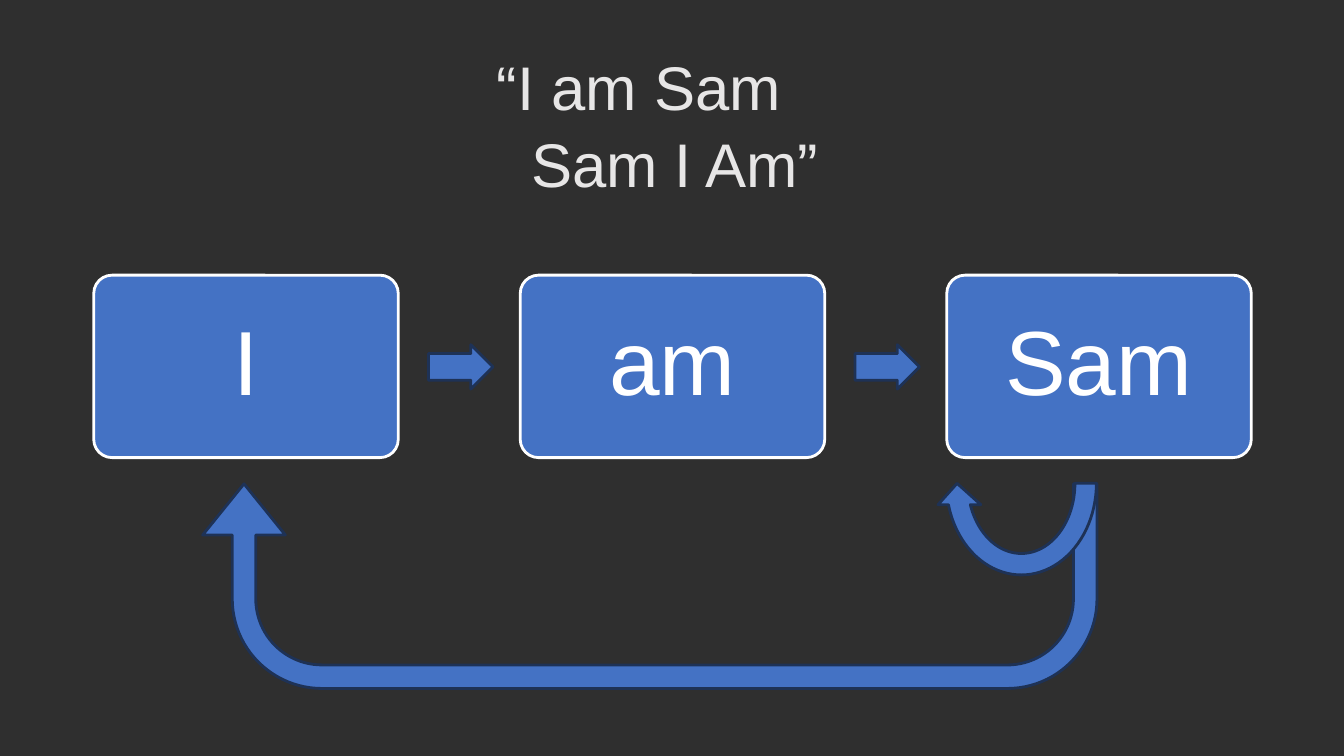
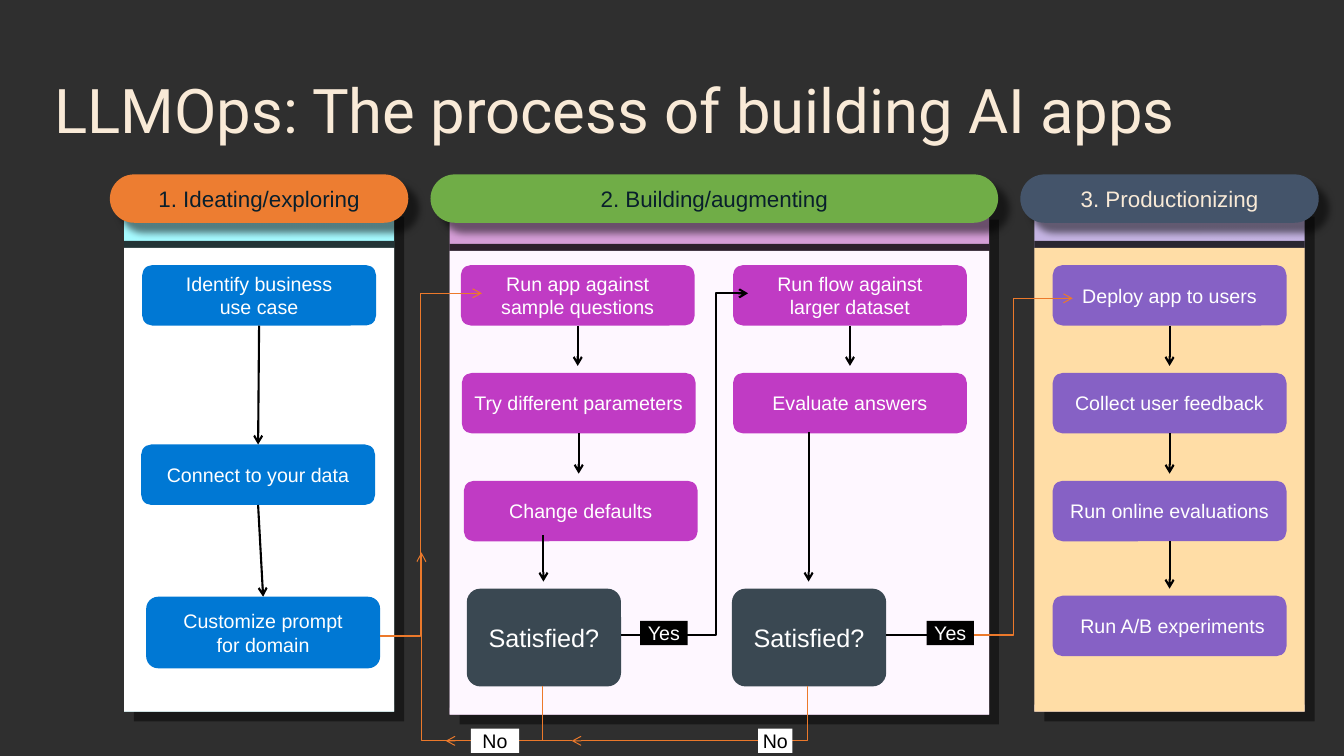
from dataclasses import dataclass

from lxml.etree import SubElement
from pptx import Presentation
from pptx.dml.color import RGBColor
from pptx.enum.shapes import MSO_CONNECTOR, MSO_SHAPE
from pptx.enum.text import MSO_ANCHOR, PP_ALIGN
from pptx.oxml.ns import qn
from pptx.util import Inches, Pt


@dataclass(frozen=True)
class Theme:
    bg: str = "2F2F2F"
    white: str = "FFFFFF"
    black: str = "000000"
    cream: str = "F9EAD7"
    quote: str = "E7E6E6"
    token: str = "4472C4"
    token_edge: str = "1E3256"
    ink: str = "091F2C"
    decision: str = "3A4852"
    loop: str = "EC792B"
    explore: str = "0078D4"
    build: str = "C03BC4"
    produce: str = "8661C5"
    body_font: str = "Arial"
    title_font: str = "Roboto"
    title_size: int = 44
    token_size: int = 65
    pill_size: int = 16
    card_size: int = 14
    decision_size: int = 18


T = Theme()


def rgb(value):
    return RGBColor.from_string(value)


def assign(obj, values):
    for name, value in values.items():
        setattr(obj, name, value)


def put_text(sp, lines, size, color, font=T.body_font, align=PP_ALIGN.CENTER,
             anchor=MSO_ANCHOR.MIDDLE, insets=(0, 0, 0, 0), spacing=1.0):
    tf = sp.text_frame
    left, top, right, bottom = (Inches(v) for v in insets)
    assign(tf, {"word_wrap": True, "vertical_anchor": anchor,
                "margin_left": left, "margin_top": top,
                "margin_right": right, "margin_bottom": bottom})
    for i, line in enumerate(lines):
        p = tf.add_paragraph() if i else tf.paragraphs[0]
        p.text = line
        assign(p, {"alignment": align, "line_spacing": spacing})
        for r in p.runs:
            assign(r.font, {"name": font, "size": Pt(size)})
            r.font.color.rgb = rgb(color)
    return tf


def add_box(slide, kind, box, fill, edge=None, adj=(), rotation=0):
    sp = slide.shapes.add_shape(kind, *(Inches(v) for v in box))
    sp.fill.solid()
    sp.fill.fore_color.rgb = rgb(fill)
    if edge:
        sp.line.color.rgb = rgb(edge)
        sp.line.width = Pt(2)
    else:
        sp.line.fill.background()
    sp.shadow.inherit = False
    sp.rotation = rotation
    for i, value in enumerate(adj):
        sp.adjustments[i] = value
    return sp


def add_label(slide, box, lines, size, color, **options):
    tb = slide.shapes.add_textbox(*(Inches(v) for v in box))
    return put_text(tb, lines, size, color, **options)


def cast_shadow(sp, alpha, blur, dist, angle):
    effects = sp._element.spPr.find(qn("a:effectLst"))
    shadow = SubElement(effects, qn("a:outerShdw"), blurRad=str(Pt(blur)),
                        dist=str(Pt(dist)), dir=str(angle * 60000),
                        algn="ctr", rotWithShape="0")
    tint = SubElement(shadow, qn("a:srgbClr"), val=T.black)
    SubElement(tint, qn("a:alpha"), val=str(alpha * 1000))


def style_line(obj, color, width, arrow):
    obj.line.color.rgb = rgb(color)
    obj.line.width = Pt(width)
    if arrow:
        ln = obj.line._get_or_add_ln()
        SubElement(ln, qn("a:tailEnd"), type="arrow")


def add_line(slide, start, end, color=T.black, width=1.5, arrow=True,
             source=None, target=None):
    cx = slide.shapes.add_connector(
        MSO_CONNECTOR.STRAIGHT, *(Inches(v) for v in (*start, *end)))
    for join, joined in ((cx.begin_connect, source), (cx.end_connect, target)):
        if joined:
            join(*joined)
    style_line(cx, color, width, arrow)
    SubElement(cx._element.spPr, qn("a:effectLst"))
    return cx


def add_route(slide, points, color=T.loop, width=0.75, arrow=True):
    pts = [(Inches(x), Inches(y)) for x, y in points]
    builder = slide.shapes.build_freeform(*pts[0])
    builder.add_line_segments(pts[1:], close=False)
    sp = builder.convert_to_shape()
    sp.fill.background()
    sp.shadow.inherit = False
    style_line(sp, color, width, arrow)


def drop_arrow(slide, card, end_y):
    x = (card.left + card.width / 2) / Inches(1)
    y = (card.top + card.height) / Inches(1)
    add_line(slide, (x, y), (x, end_y), source=(card, 2))


def new_slide(prs):
    slide = prs.slides.add_slide(prs.slide_layouts[6])
    slide.background.fill.solid()
    slide.background.fill.fore_color.rgb = rgb(T.bg)
    return slide


def token_row(slide, box, words):
    left, top, pitch, height = box
    width = 3.02
    for i, word in enumerate(words):
        x = left + i * pitch
        sp = add_box(slide, MSO_SHAPE.ROUNDED_RECTANGLE,
                     (x, top, width, height), T.token, T.white, (0.1,))
        put_text(sp, [word], T.token_size, T.white, spacing=0.9)
        if i < len(words) - 1:
            add_box(slide, MSO_SHAPE.RIGHT_ARROW,
                    (x + width + 0.3, top + 0.69, 0.64, 0.44),
                    T.token, T.token_edge, (0.6, 0.5))


def token_slide(prs):
    slide = new_slide(prs)
    token_row(slide, (0.93, 2.73, 4.23, 1.81), ("I", "am", "Sam"))
    add_box(slide, MSO_SHAPE.U_TURN_ARROW, (2.01, 4.8, 8.87, 2.03),
            T.token, T.token_edge, (0.115, 0.202, 0.25, 0.438, 1), 180)
    add_box(slide, MSO_SHAPE.CIRCULAR_ARROW, (9.28, 3.78, 1.7, 2.03),
            T.token, T.token_edge, rotation=180)
    tf = add_label(slide, (4.83, 0.41, 3.46, 1.58),
                   ("“I am Sam", "Sam I Am”"), T.title_size, T.quote,
                   align=PP_ALIGN.LEFT, anchor=MSO_ANCHOR.TOP,
                   insets=(0.1, 0.05, 0.1, 0.05), spacing=1.04)
    tf.paragraphs[1]._p.get_or_add_pPr().set("marL", str(Inches(0.34)))


def stage_panel(slide, box, heading, pill, pill_ink, band, body, pill_dx=0):
    left, top, width, height = box
    back = add_box(slide, MSO_SHAPE.RECTANGLE, box, band)
    cast_shadow(back, 45, 0, 10, 45)
    sheet = add_box(slide, MSO_SHAPE.RECTANGLE,
                    (left, top + 0.41, width, height - 0.41), body)
    cast_shadow(sheet, 78, 0, 5, 270)
    overhang = 0.14
    sp = add_box(slide, MSO_SHAPE.ROUNDED_RECTANGLE,
                 (left - overhang + pill_dx, 1.73, width + 2 * overhang, 0.48),
                 pill, adj=(0.5,))
    cast_shadow(sp, 50, 5, 10, 45)
    put_text(sp, [heading], T.pill_size, pill_ink)


def card_column(slide, box, fill, cards):
    left, top, width = box
    shapes = []
    for dx, dy, height, text in cards:
        sp = add_box(slide, MSO_SHAPE.ROUNDED_RECTANGLE,
                     (left + dx, top + dy, width, height), fill)
        put_text(sp, [text], T.card_size, T.white)
        shapes.append(sp)
    return shapes


def decision(slide, left, top):
    sp = add_box(slide, MSO_SHAPE.ROUNDED_RECTANGLE,
                 (left, top, 1.53, 0.97), T.decision, adj=(0.139,))
    put_text(sp, ["Satisfied?"], T.decision_size, T.white)
    return sp


def ideating_stage(slide, box):
    left, top = box[:2]
    stage_panel(slide, box, "1. Ideating/exploring", "ED7D31", T.ink,
                "A6FAFF", T.white)
    cards = card_column(slide, (left + 0.18, top + 0.58, 2.32), T.explore, (
        (0, 0, 0.6, "Identify business\vuse case"),
        (-0.01, 1.78, 0.6, "Connect to your data"),
        (0.04, 3.29, 0.71, "Customize prompt\vfor domain")))
    for upper, lower in zip(cards, cards[1:]):
        add_line(slide, (0, 0), (1, 1), source=(upper, 2), target=(lower, 0))


def building_stage(slide, box):
    left, top = box[:2]
    stage_panel(slide, box, "2. Building/augmenting", "70AD47", T.ink,
                "D59ED7", "FEF7FF", pill_dx=-0.05)
    first_row = top + 0.55
    sample = card_column(slide, (left + 0.11, first_row, 2.32), T.build, (
        (0, 0, 0.6, "Run app against\vsample questions"),
        (0.01, 1.07, 0.6, "Try different parameters"),
        (0.03, 2.14, 0.6, "Change defaults")))
    larger = card_column(slide, (left + 2.81, first_row, 2.32), T.build, (
        (0, 0, 0.6, "Run flow against\vlarger dataset"),
        (0, 1.07, 0.6, "Evaluate answers")))
    for card, dy in ((sample[0], 1), (sample[1], 2.07), (larger[0], 1)):
        drop_arrow(slide, card, first_row + dy)
    for dx, start_y in ((0.17, 2.68), (2.8, 1.66)):
        decision(slide, left + dx, top + 3.76)
        x = left + dx + 0.76
        add_line(slide, (x, first_row + start_y), (x, first_row + 3.14))


def production_stage(slide, box):
    left, top = box[:2]
    stage_panel(slide, box, "3. Productionizing", "44546A", T.cream,
                "C5B4E3", "FFDDA6")
    names = ("Deploy app to users", "Collect user feedback",
             "Run online evaluations", "Run A/B experiments")
    offsets = (0, 1.07, 2.14, 3.28)
    cards = card_column(slide, (left + 0.18, top + 0.58, 2.32), T.produce,
                        [(0, dy, 0.6, name) for dy, name in zip(offsets, names)])
    cards[-1].text_frame.margin_left = Inches(0.06)
    for card, dy in zip(cards, offsets[1:]):
        drop_arrow(slide, card, top + 0.51 + dy)


def decision_routes(slide):
    add_route(slide, ((3.77, 6.31), (4.17, 6.31), (4.17, 2.91), (4.78, 2.91)))
    add_route(slide, ((5.38, 6.81), (5.38, 7.35), (4.18, 7.35), (4.18, 5.48)))
    add_route(slide, ((8.01, 6.81), (8.01, 7.35), (5.67, 7.35)))
    add_line(slide, (5.67, 7.35), (5.38, 7.35), T.loop, 0.75, False)
    add_line(slide, (4.72, 7.35), (4.42, 7.35), T.loop, 0.75)
    add_route(slide, ((6.16, 6.3), (7.1, 6.3), (7.1, 2.91), (7.42, 2.91)),
              T.black, 1.5)
    add_line(slide, (8.79, 6.3), (9.19, 6.3), arrow=False)
    add_route(slide, ((9.34, 6.3), (10.05, 6.3), (10.05, 2.96), (10.64, 2.96)))
    for left, top, width, text, fill, ink in (
            (4.67, 7.23, 0.48, "No", T.white, T.black),
            (7.52, 7.23, 0.34, "No", T.white, T.black),
            (6.35, 6.16, 0.47, "Yes", T.black, T.white),
            (9.19, 6.16, 0.47, "Yes", T.black, T.white)):
        sp = add_box(slide, MSO_SHAPE.RECTANGLE, (left, top, width, 0.24), fill)
        put_text(sp, [text], T.card_size, ink)


def process_slide(prs):
    slide = new_slide(prs)
    add_label(slide, (0.44, 0.4, 11.98, 1.45),
              ["LLMOps: The process of building AI apps"], T.title_size,
              T.cream, font=T.title_font, align=PP_ALIGN.LEFT,
              insets=(0.1, 0.05, 0.1, 0.05), spacing=0.9)
    ideating_stage(slide, (1.23, 2.05, 2.68, 5.01))
    building_stage(slide, (4.46, 2.08, 5.35, 5.01))
    production_stage(slide, (10.26, 2.05, 2.68, 5.01))
    decision_routes(slide)


def main():
    prs = Presentation()
    assign(prs, {"slide_width": Inches(13.33), "slide_height": Inches(7.5)})
    token_slide(prs)
    process_slide(prs)
    prs.save("out.pptx")


if __name__ == "__main__":
    main()
